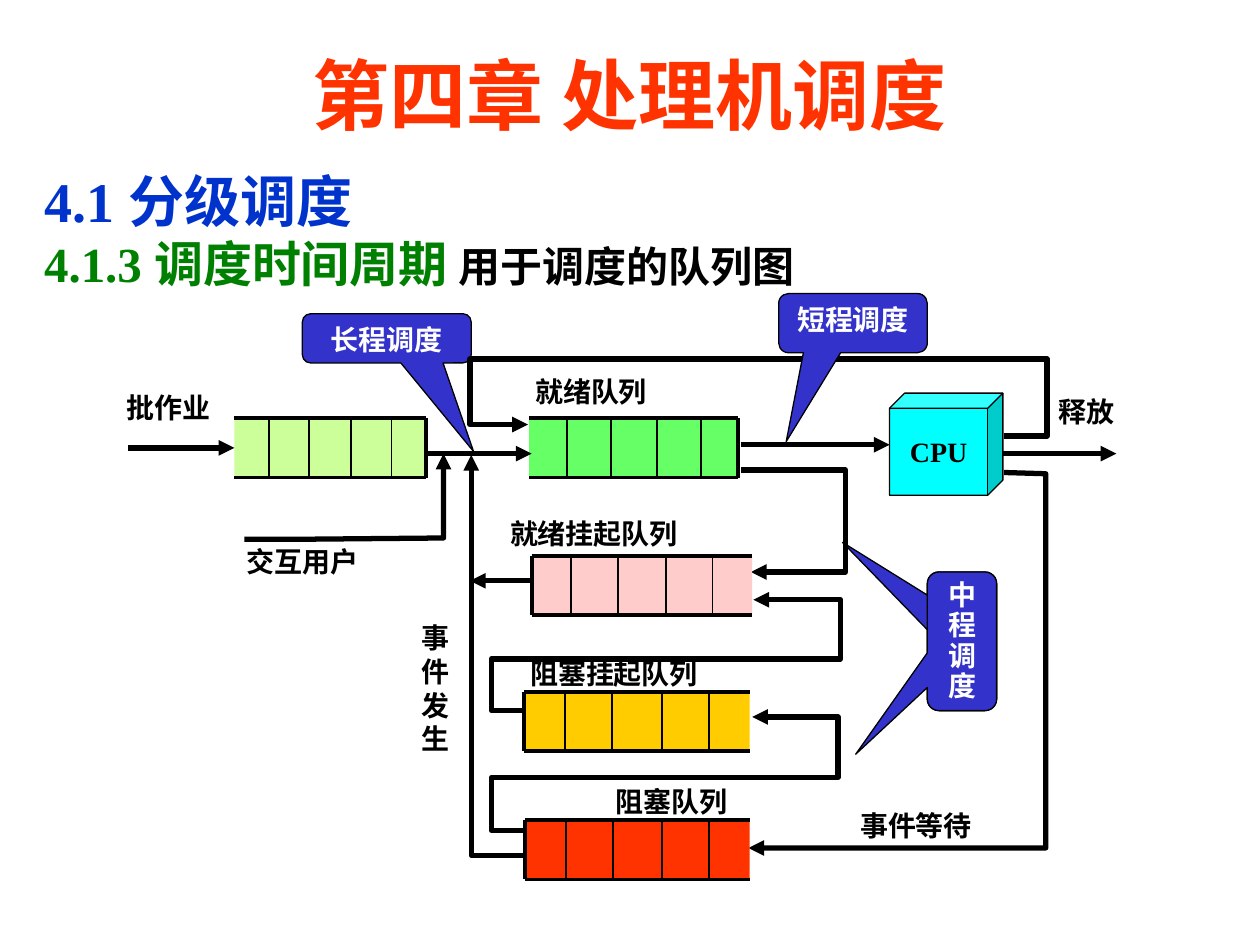
import pptx
import pptx.util
import pptx.dml.color
import pptx.enum.shapes
import pptx.enum.text
import pptx.oxml
import pptx.oxml.ns

Inches = pptx.util.Inches
Pt = pptx.util.Pt
Color = pptx.dml.color.RGBColor.from_string
Kind = pptx.enum.shapes.MSO_SHAPE
Wire = pptx.enum.shapes.MSO_CONNECTOR
Align = pptx.enum.text.PP_ALIGN
Anchor = pptx.enum.text.MSO_ANCHOR
qn = pptx.oxml.ns.qn

theme = {
    "font": "Times New Roman",
    "title": (44, "FF3300"),
    "part": (32, "0033CC"),
    "topic": (28, "008000"),
    "note": (24, "000000"),
    "label": (16, "000000"),
    "call": (16, "FFFFFF"),
    "ink": "000000",
    "bubble": "3333CC",
    "cpu": "00FFFF",
    "batch": "CCFF99",
    "ready": "66FF66",
    "paused": "FFCCCC",
    "held": "FFCC00",
    "blocked": "FF3300",
}


def write(par, text, role):
    run = par.add_run()
    run.text = text
    size, color = theme[role]
    run.font.name = theme["font"]
    run.font.size = Pt(size)
    run.font.bold = True
    run.font.color.rgb = Color(color)


def stroke(form, width, head=False):
    form.line.color.rgb = Color(theme["ink"])
    form.line.width = Pt(width)
    props = form.element.spPr
    if head:
        tail = pptx.oxml.parse_xml(
            '<a:tailEnd xmlns:a="http://schemas.openxmlformats.org/drawingml/2006/main" type="triangle"/>'
        )
        props.find(qn("a:ln")).append(tail)
    props.append(props.makeelement(qn("a:effectLst"), {}))


deck = pptx.Presentation()
deck.slide_width = Inches(10)
deck.slide_height = Inches(7.5)
slide = deck.slides.add_slide(deck.slide_layouts[1])
shapes = slide.shapes

title = shapes.title
title.left, title.top, title.width, title.height = map(Inches, (0.75, 0.28, 8.5, 0.92))
title.text_frame.vertical_anchor = Anchor.MIDDLE
par = title.text_frame.paragraphs[0]
par.alignment = Align.CENTER
write(par, "第四章 处理机调度", "title")

body = slide.placeholders[1]
body.left, body.top, body.width, body.height = map(Inches, (0.25, 1.33, 9.5, 1))
frame = body.text_frame
frame.auto_size = pptx.enum.text.MSO_AUTO_SIZE.NONE
heads = [
    [("4.1 分级调度", "part")],
    [("4.1.3 调度时间周期 ", "topic"), ("用于调度的队列图", "note")],
]
for index, runs in enumerate(heads):
    par = frame.paragraphs[0] if index == 0 else frame.add_paragraph()
    par.line_spacing = 0.9
    par.space_before = Pt(3)
    props = par._p.get_or_add_pPr()
    props.set("marL", str(Inches(0.42)))
    props.set("indent", str(Inches(-0.42)))
    props.append(props.makeelement(qn("a:buNone"), {}))
    for text, role in runs:
        write(par, text, role)

routes = [
    [(4.17, 5.64), (3.9, 5.64), (3.9, 5.23), (6.67, 5.23), (6.67, 4.76), (5.98, 4.76)],
    [(7.97, 3.46), (8.31, 3.46), (8.31, 2.85), (3.73, 2.85), (3.73, 3.37), (4.19, 3.37)],
    [(5.88, 3.73), (6.71, 3.73), (6.71, 4.54), (5.96, 4.54)],
    [(7.97, 3.75), (8.3, 3.76), (8.3, 6.73), (5.94, 6.73)],
    [(4.29, 6.79), (3.74, 6.79), (3.74, 3.61)],
    [(4.17, 6.59), (3.9, 6.59), (3.9, 6.17), (6.65, 6.17), (6.65, 5.69), (5.97, 5.69)],
    [(1.94, 4.28), (2.42, 4.28), (3.52, 4.27), (3.52, 3.6)],
]
queues = [
    ("batch", 1.86, 3.32, 1.52, "right"),
    ("ready", 4.2, 3.32, 1.66, "right"),
    ("paused", 4.22, 4.41, 1.75, "left"),
    ("held", 4.16, 5.49, 1.79, "left"),
    ("blocked", 4.17, 6.51, 1.78, "left"),
]
arrows = [
    (1.02, 3.55, 1.86, 3.55),
    (3.38, 3.6, 4.22, 3.6),
    (5.88, 3.53, 7.06, 3.53),
    (4.22, 4.61, 3.73, 4.61),
    (7.96, 3.6, 8.86, 3.6),
]
usual = (0.1, 0.05, 0.1, 0.05)
labels = [
    ("批作业", 0.91, 3.05, 0.94, 0.37, Align.LEFT, usual),
    ("释放", 8.38, 3.12, 0.62, 0.33, Align.LEFT, (0.02, 0.01, 0.02, 0.05)),
    ("就绪队列", 4.15, 2.92, 1.39, 0.37, Align.LEFT, usual),
    ("就绪挂起队列", 3.95, 4.05, 2.22, 0.37, Align.LEFT, usual),
    ("阻塞挂起队列", 4.11, 5.16, 2.22, 0.37, Align.LEFT, usual),
    ("阻塞队列", 4.22, 6.18, 2.22, 0.37, Align.CENTER, usual),
    ("事件等待", 6.16, 6.37, 2.22, 0.37, Align.CENTER, usual),
    ("事件发生", 3.18, 4.88, 0.55, 1.17, Align.CENTER, usual),
    ("交互用户", 1.86, 4.27, 1.39, 0.37, Align.LEFT, usual),
]
calls = [
    ("长程调度", 2.4, 2.49, 1.34, 0.39, 0.514, 2.302, 1),
    ("", 7.36, 4.54, 0.55, 1.1, -1.724, -0.714, 1),
    ("中程调度", 7.36, 4.54, 0.55, 1.1, -1.535, 0.815, 0.9),
    ("短程调度", 6.18, 2.33, 1.18, 0.47, -0.449, 2, 1),
]

for text, x, y, wide, high, dx, dy, space in calls:
    call = shapes.add_shape(Kind.ROUNDED_RECTANGULAR_CALLOUT, *map(Inches, (x, y, wide, high)))
    call.adjustments[0] = dx
    call.adjustments[1] = dy
    call.fill.solid()
    call.fill.fore_color.rgb = Color(theme["bubble"])
    stroke(call, 0.75)
    if text:
        call.text_frame.vertical_anchor = Anchor.TOP
        par = call.text_frame.paragraphs[0]
        par.alignment = Align.CENTER
        par.line_spacing = space
        write(par, text, "call")
    short = call

for route in routes:
    spots = [(Inches(x), Inches(y)) for x, y in route]
    pen = shapes.build_freeform(*spots[0], scale=1.0)
    pen.add_line_segments(spots[1:], close=False)
    track = pen.convert_to_shape()
    track.fill.background()
    stroke(track, 3, True)

first = {}
high = 0.47
for name, left, top, wide, end in queues:
    edges = [left + wide * part for part in (0, 0.18, 0.39, 0.61, 0.82, 1)]
    low = top + high
    for start, stop in zip(edges, edges[1:]):
        cell = shapes.add_shape(Kind.RECTANGLE, *map(Inches, (start, top, stop - start, high)))
        cell.fill.solid()
        cell.fill.fore_color.rgb = Color(theme[name])
        cell.line.fill.background()
        cell.shadow.inherit = False
        first.setdefault(name, cell)
    side = edges[-1] if end == "right" else left
    bars = [(left, top, edges[-1], top, 2.25), (left, low, edges[-1], low, 2.25)]
    bars += [(x, top, x, low, 1) for x in edges[1:-1]]
    bars.append((side, top, side, low, 2.25))
    for *ends, width in bars:
        stroke(shapes.add_connector(Wire.STRAIGHT, *map(Inches, ends)), width)

for index, ends in enumerate(arrows):
    arrow = shapes.add_connector(Wire.STRAIGHT, *map(Inches, ends))
    if index == 0:
        arrow.end_connect(first["batch"], 1)
        arrow.begin_y = arrow.end_y
    stroke(arrow, 3, True)

cpu = shapes.add_shape(Kind.CUBE, *map(Inches, (7.06, 3.12, 0.9, 0.81)))
cpu.adjustments[0] = 0.148
cpu.fill.solid()
cpu.fill.fore_color.rgb = Color(theme["cpu"])
stroke(cpu, 0.75)
cpu.text_frame.word_wrap = False
cpu.text_frame.vertical_anchor = Anchor.MIDDLE
par = cpu.text_frame.paragraphs[0]
par.alignment = Align.CENTER
write(par, "CPU", "label")

for text, x, y, wide, high, align, pad in labels:
    box = shapes.add_textbox(*map(Inches, (x, y, wide, high)))
    frame = box.text_frame
    frame.word_wrap = True
    frame.margin_left, frame.margin_top, frame.margin_right, frame.margin_bottom = map(Inches, pad)
    par = frame.paragraphs[0]
    par.alignment = align
    write(par, text, "label")

shapes.element.append(short.element)
deck.save("out.pptx")
